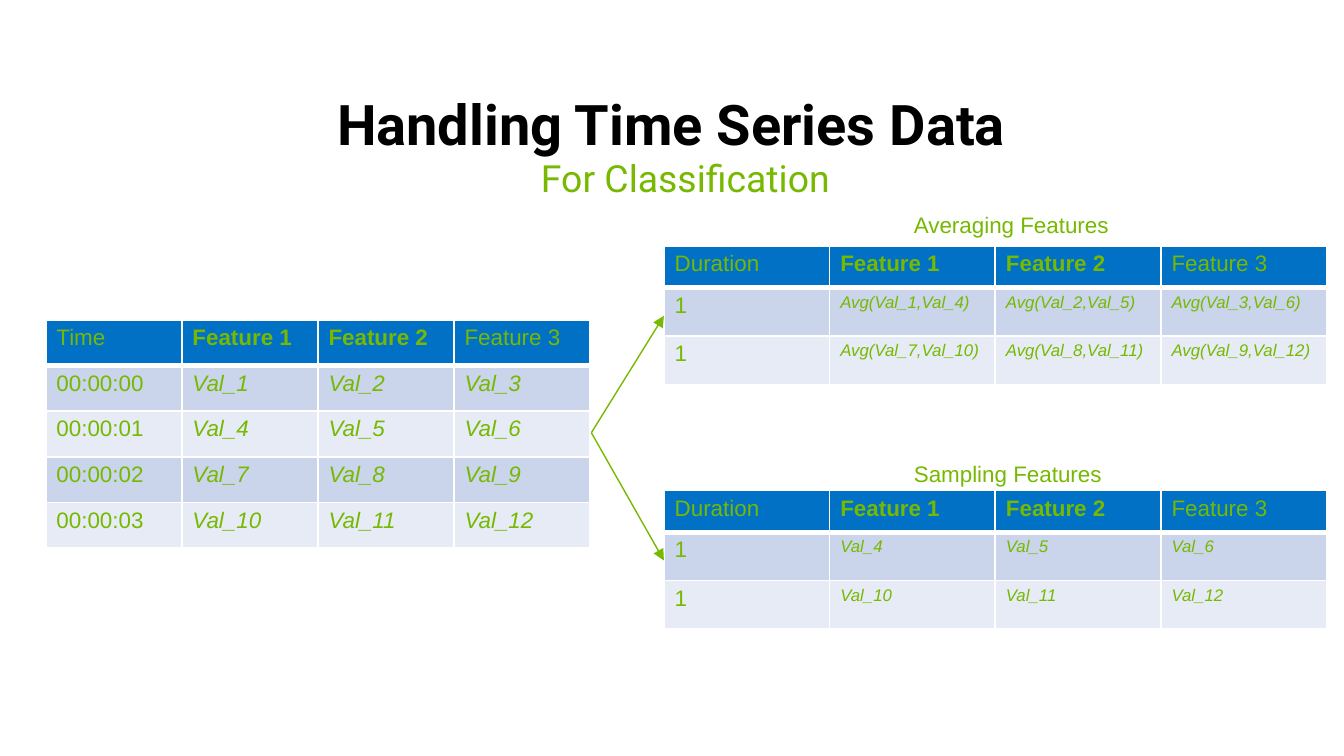
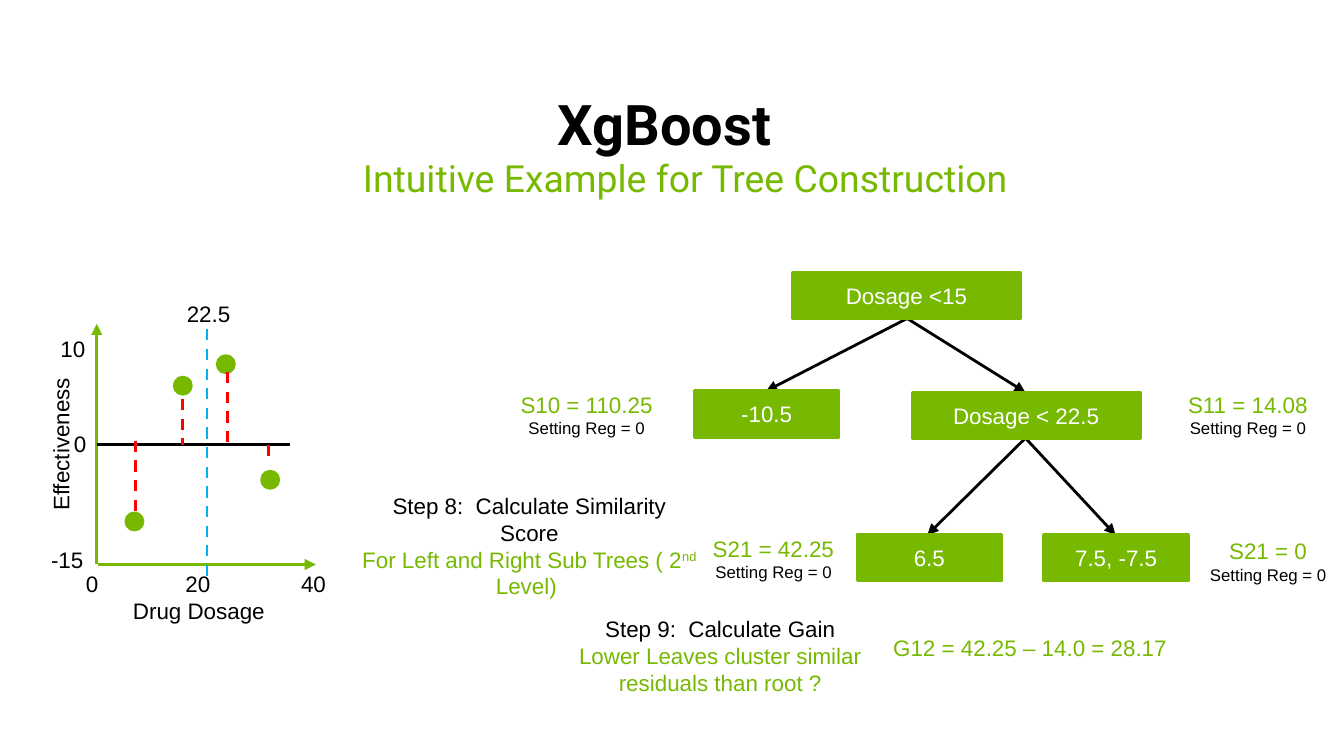
from pptx import Presentation
from pptx.dml.color import RGBColor
from pptx.enum.dml import MSO_LINE_DASH_STYLE as Dash
from pptx.enum.shapes import MSO_CONNECTOR as Connector, MSO_SHAPE as Shape
from pptx.enum.text import MSO_ANCHOR as Anchor, MSO_AUTO_SIZE as AutoSize, PP_ALIGN as Align
from pptx.oxml import parse_xml
from pptx.oxml.ns import nsdecls
from pptx.util import Inches, Pt

GREEN, BLACK, WHITE, RED = "76B900", "000000", "FFFFFF", "FF0000"
HEADER_BLUE, CUT_BLUE = "0071C5", "00B0F0"
BANDS = ["E6EBF5", "CAD4EA"]
BOX_HEIGHT, DOT = 0.34, 0.12


def paint(fill, color):
    fill.solid()
    fill.fore_color.rgb = RGBColor.from_string(color)


def write_text(frame, text, size=12, color=GREEN, font="Arial", bold=False, italic=False,
               align=Align.LEFT, same_paragraph=False, baseline=None):
    frame.word_wrap = True
    frame.auto_size = AutoSize.NONE
    frame.margin_left = frame.margin_right = Inches(0.08)
    frame.margin_top = frame.margin_bottom = Inches(0.04)
    if frame.text and not same_paragraph:
        frame.add_paragraph()
    paragraph = frame.paragraphs[-1]
    paragraph.alignment = align
    run = paragraph.add_run()
    run.text = text
    run.font.name, run.font.size = font, Pt(size)
    run.font.bold, run.font.italic = bold, italic
    paint(run.font.fill, color)
    if baseline:
        run.font._element.set("baseline", str(baseline * 1000))
    return paragraph


presentation = Presentation()
presentation.slide_width = Inches(10)
presentation.slide_height = Inches(10 * 9 / 16)

slides = []
for title_text, subtitle_text in [
    ("Handling Time Series Data", "For Classification"),
    ("XgBoost ", "Intuitive Example for Tree Construction"),
]:
    slide = presentation.slides.add_slide(presentation.slide_layouts[5])
    paint(slide.background.fill, WHITE)
    title = slide.shapes.title
    title.left, title.top, title.width, title.height = map(Inches, (0.45, 0.67, 9.09, 0.54))
    title.text_frame.vertical_anchor = Anchor.BOTTOM
    paragraph = write_text(title.text_frame, title_text, size=30, color=BLACK, font="Roboto",
                           bold=True, align=Align.CENTER)
    paragraph.line_spacing = 0.9
    subtitle = slide.shapes.add_textbox(*map(Inches, (0.45, 1.15, 9.09, 0.48)))
    paragraph = write_text(subtitle.text_frame, subtitle_text, size=20, font="Roboto",
                           align=Align.CENTER)
    paragraph.line_spacing = 0.9
    properties = paragraph._p.get_or_add_pPr()
    properties.set("marL", str(Inches(0.42)))
    properties.set("indent", str(Inches(-0.21)))
    slides.append(slide)
series_slide, tree_slide = slides

features = ["Feature 1", "Feature 2", "Feature 3"]
time_rows = [["Time"] + features]
for second in range(4):
    time_rows.append([f"00:00:0{second}"] + [f"Val_{3 * second + n}" for n in (1, 2, 3)])
average_rows = [["Duration"] + features]
sample_rows = [["Duration"] + features]
for first in (1, 7):
    average_rows.append(["1"] + [f"Avg(Val_{n},Val_{n + 3})" for n in range(first, first + 3)])
    sample_rows.append(["1"] + [f"Val_{n + 3}" for n in range(first, first + 3)])

for left, top, table_width, header_height, row_height, value_size, rows in [
    (0.34, 2.38, 4.05, 0.34, 0.34, 12, time_rows),
    (4.94, 1.83, 4.93, 0.31, 0.36, 9, average_rows),
    (4.94, 3.65, 4.93, 0.31, 0.36, 9, sample_rows),
]:
    height = header_height + row_height * (len(rows) - 1)
    table = series_slide.shapes.add_table(
        len(rows), 4, *map(Inches, (left, top, table_width, height))).table
    for r, row in enumerate(rows):
        table.rows[r].height = Inches(row_height if r else header_height)
        for c, text in enumerate(row):
            cell = table.cell(r, c)
            is_value = r > 0 and c > 0
            write_text(cell.text_frame, text, size=value_size if is_value else 12,
                       bold=r == 0 and c in (1, 2), italic=is_value)
            cell.margin_left = cell.margin_right = Inches(0.08)
            cell.margin_top = cell.margin_bottom = Inches(0.04)
            paint(cell.fill, BANDS[r % 2] if r else HEADER_BLUE)
            for position, side in enumerate("LRTB"):
                width = 3 if (r, side) in [(0, "B"), (1, "T")] else 1
                border = parse_xml(
                    f'<a:ln{side} {nsdecls("a")} w="{Pt(width)}"><a:solidFill>'
                    f'<a:srgbClr val="{WHITE}"/></a:solidFill></a:ln{side}>')
                cell._tc.get_or_add_tcPr().insert(position, border)

for top, caption in [(1.53, "Averaging Features"), (3.38, "Sampling Features")]:
    box = series_slide.shapes.add_textbox(*map(Inches, (6.72, top, 1.7, 0.28)))
    write_text(box.text_frame, caption)

for left, top in [(1.3, 2.81), (1.62, 2.65), (0.94, 3.82), (1.95, 3.51)]:
    dot = tree_slide.shapes.add_shape(Shape.OVAL, *map(Inches, (left, top, DOT, DOT)))
    dot.shadow.inherit = False
    paint(dot.fill, GREEN)
    paint(dot.line.fill, GREEN)
    dot.line.width = Pt(2)

for slide, start, end, color, width, style in [
    (series_slide, (4.4, 3.22), (4.94, 2.35), GREEN, 0.75, "arrow"),
    (series_slide, (4.4, 3.22), (4.94, 4.17), GREEN, 0.75, "arrow"),
    (tree_slide, (0.72, 4.2), (0.72, 2.41), GREEN, 1.5, "arrow"),
    (tree_slide, (0.73, 4.2), (2.35, 4.2), GREEN, 1.5, "arrow"),
    (tree_slide, (0.72, 3.31), (2.16, 3.31), BLACK, 1.5, "plain"),
    (tree_slide, (1.36, 2.97), (1.36, 3.31), RED, 1.5, "dash"),
    (tree_slide, (1.69, 2.77), (1.69, 3.31), RED, 1.5, "dash"),
    (tree_slide, (1.01, 3.28), (1.01, 3.81), RED, 1.5, "dash"),
    (tree_slide, (2, 3.31), (2, 3.45), RED, 1.5, "dash"),
    (tree_slide, (1.54, 2.45), (1.54, 4.29), CUT_BLUE, 1.5, "dash"),
    (tree_slide, (6.75, 2.37), (5.7, 2.91), BLACK, 1.5, "arrow"),
    (tree_slide, (6.75, 2.37), (7.63, 2.92), BLACK, 1.5, "arrow"),
    (tree_slide, (7.63, 3.26), (6.9, 3.98), BLACK, 1.5, "arrow"),
    (tree_slide, (7.63, 3.26), (8.3, 3.98), BLACK, 1.5, "arrow"),
]:
    connector = slide.shapes.add_connector(Connector.STRAIGHT, *map(Inches, start + end))
    paint(connector.line.fill, color)
    connector.line.width = Pt(width)
    if style == "dash":
        connector.line.dash_style = Dash.DASH
    if style == "arrow":
        arrowhead = parse_xml(f'<a:tailEnd {nsdecls("a")} type="triangle"/>')
        connector.line._get_or_add_ln().append(arrowhead)
    connector._element.spPr.append(parse_xml(f'<a:effectLst {nsdecls("a")}/>'))

for left, top, width, text in [
    (0.91, 4.4, 1.16, "Drug Dosage"),
    (-0.13, 3.16, 1.16, "Effectiveness"),
    (0.56, 4.2, 0.3, "0"),
    (1.3, 4.2, 0.38, "20"),
    (2.16, 4.2, 0.38, "40"),
    (0.37, 2.45, 0.38, "10"),
    (0.47, 3.16, 0.38, "0"),
    (0.3, 4.02, 0.44, "-15"),
    (1.31, 2.19, 0.55, "22.5"),
]:
    label = tree_slide.shapes.add_textbox(*map(Inches, (left, top, width, 0.28)))
    write_text(label.text_frame, text, color=BLACK)
    if text == "Effectiveness":
        label.rotation = 270

for left, top, width, text in [
    (5.9, 2.03, 1.69, "Dosage <15"),
    (5.17, 2.91, 1.07, "-10.5"),
    (6.79, 2.92, 1.69, "Dosage < 22.5"),
    (6.38, 3.98, 1.07, "6.5"),
    (7.77, 3.98, 1.07, "7.5, -7.5"),
]:
    node = tree_slide.shapes.add_shape(
        Shape.RECTANGLE, *map(Inches, (left, top, width, BOX_HEIGHT)))
    node.shadow.inherit = False
    paint(node.fill, GREEN)
    paint(node.line.fill, GREEN)
    node.line.width = Pt(2)
    node.text_frame.vertical_anchor = Anchor.MIDDLE
    write_text(node.text_frame, text, color=WHITE, align=Align.CENTER)

for left, top, score in [
    (3.66, 2.87, "S10 = 110.25"),
    (8.58, 2.87, "S11 = 14.08"),
    (5.05, 3.94, "S21 = 42.25"),
    (8.73, 3.96, "S21 = 0"),
]:
    box = tree_slide.shapes.add_textbox(*map(Inches, (left, top, 1.41, 0.45)))
    write_text(box.text_frame, score, align=Align.CENTER)
    write_text(box.text_frame, "Setting Reg = 0", size=9, color=BLACK, align=Align.CENTER)

gain = tree_slide.shapes.add_textbox(*map(Inches, (6.46, 4.68, 2.41, 0.28)))
write_text(gain.text_frame, "G12 = 42.25 – 14.0 = 28.17", align=Align.CENTER)

for left, top, step, detail in [
    (2.61, 3.62, "Step 8:  Calculate Similarity Score",
     [("For Left and Right Sub Trees ( 2", None), ("nd", 30), (" Level) ", None)]),
    (4.03, 4.54, "Step 9:  Calculate Gain",
     [("Lower Leaves cluster similar residuals than root ?", None)]),
]:
    box = tree_slide.shapes.add_textbox(*map(Inches, (left, top, 2.66, 0.67)))
    write_text(box.text_frame, step, color=BLACK, align=Align.CENTER)
    for position, (text, baseline) in enumerate(detail):
        write_text(box.text_frame, text, align=Align.CENTER, same_paragraph=position > 0,
                   baseline=baseline)

presentation.save("out.pptx")
